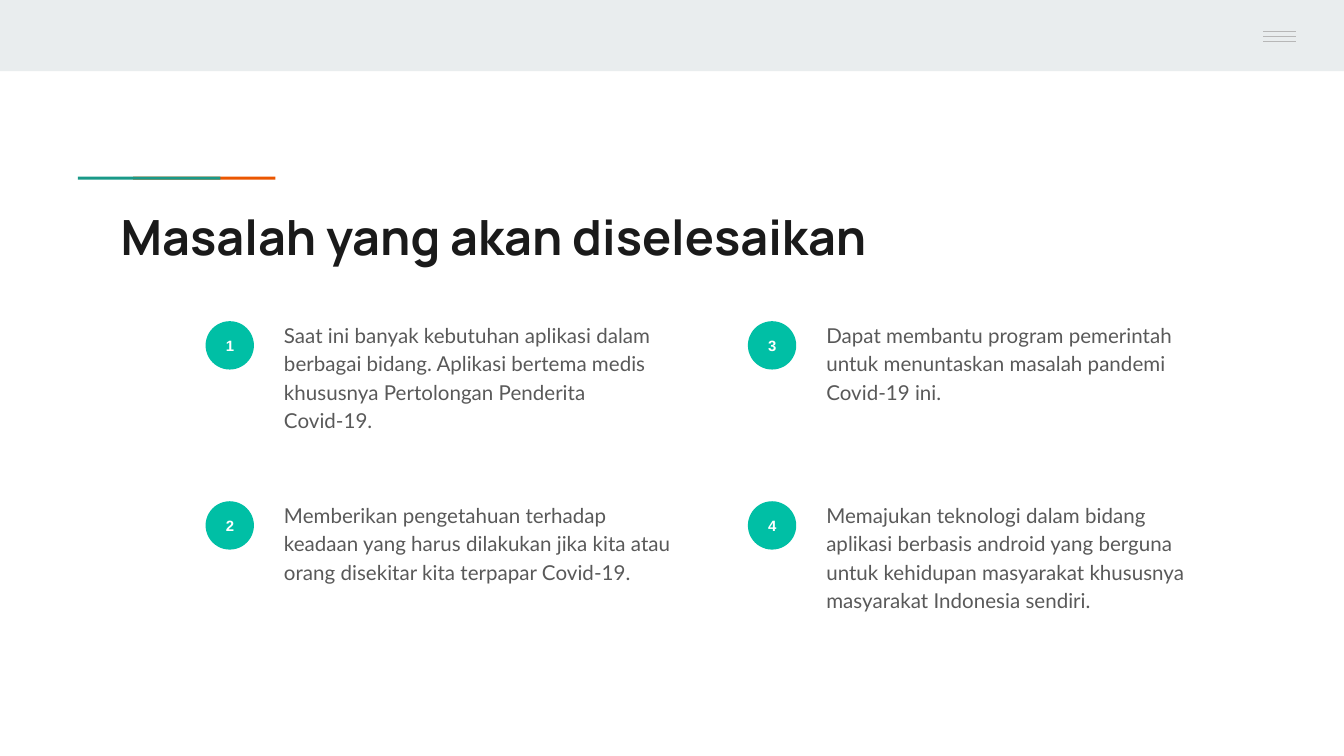
from dataclasses import dataclass

from pptx import Presentation
from pptx.dml.color import RGBColor
from pptx.enum.shapes import MSO_CONNECTOR as Connector, MSO_SHAPE as Preset
from pptx.enum.text import MSO_ANCHOR as Anchor, PP_ALIGN as Align
from pptx.oxml.ns import qn
from pptx.shapes.autoshape import Shape
from pptx.slide import Slide
from pptx.util import Emu, Inches, Pt
from lxml.etree import SubElement

COLUMNS, ROWS = 100, 56.25
CELL = Inches(0.1)
ITEMS_PER_COLUMN = 2
COLUMN_PITCH, ROW_PITCH = 40.35, 13.4
FIRST_BADGE = (15.3, 23.9)
BADGE_SIZE = 3.6
TEXT_OFFSET = (4.85, -1.15)


@dataclass(frozen=True)
class Area:
    column: float
    row: float
    width: float
    height: float

    def lengths(self) -> list[Emu]:
        return [grid(value) for value in (self.column, self.row, self.width, self.height)]


@dataclass(frozen=True)
class TextStyle:
    font: str
    size: float
    color: str
    bold: bool = False
    align: Align = Align.LEFT
    anchor: Anchor = Anchor.TOP
    line_spacing: float = 1.0


@dataclass(frozen=True)
class Block:
    area: Area
    color: str


TITLE = TextStyle("Manrope", 26, "1A1A1A", bold=True)
BODY = TextStyle("Lato", 11, "595959", line_spacing=1.15)
BADGE = TextStyle("Arial", 8, "FFFFFF", bold=True, align=Align.CENTER, anchor=Anchor.MIDDLE)

BLOCKS = [
    Block(Area(0, 0, COLUMNS, 5.3), "E9EDEE"),
    Block(Area(9.9, 13.15, 10.6, 0.23), "EB5600"),
    Block(Area(5.8, 13.15, 10.6, 0.23), "1A9988"),
]

PROBLEMS = [
    "Saat ini banyak kebutuhan aplikasi dalam berbagai bidang. Aplikasi bertema medis "
    "khususnya Pertolongan Penderita Covid-19.",
    "Memberikan pengetahuan terhadap keadaan yang harus dilakukan jika kita atau orang "
    "disekitar kita terpapar Covid-19.",
    "Dapat membantu program pemerintah untuk menuntaskan masalah pandemi Covid-19 ini.",
    "Memajukan teknologi dalam bidang aplikasi berbasis android yang berguna untuk "
    "kehidupan masyarakat khususnya masyarakat Indonesia sendiri.",
]


def grid(cells: float) -> Emu:
    return Emu(round(cells * CELL))


def rgb(color: str) -> RGBColor:
    return RGBColor.from_string(color)


def write(shape: Shape, text: str, style: TextStyle) -> None:
    frame = shape.text_frame
    frame.text = text
    frame.word_wrap = True
    frame.vertical_anchor = style.anchor
    frame.margin_left = frame.margin_right = frame.margin_top = frame.margin_bottom = CELL
    paragraph = frame.paragraphs[0]
    paragraph.alignment = style.align
    paragraph.line_spacing = style.line_spacing
    for run in paragraph.runs:
        run.font.name = style.font
        run.font.size = Pt(style.size)
        run.font.bold = style.bold
        run.font.color.rgb = rgb(style.color)


def add_text(slide: Slide, area: Area, text: str, style: TextStyle) -> None:
    write(slide.shapes.add_textbox(*area.lengths()), text, style)


def add_filled(slide: Slide, preset: Preset, area: Area, color: str) -> Shape:
    shape = slide.shapes.add_shape(preset, *area.lengths())
    shape.shadow.inherit = False
    shape.fill.solid()
    shape.fill.fore_color.rgb = rgb(color)
    shape.line.fill.background()
    return shape


def add_menu_icon(slide: Slide) -> None:
    for index in range(3):
        row = grid(2.35 + index * 0.37)
        line = slide.shapes.add_connector(Connector.STRAIGHT, grid(94), row, grid(96.4), row)
        line.line.color.rgb = rgb("B7B7B7")
        line.line.width = Pt(0.75)
        SubElement(line._element.spPr, qn("a:effectLst"))


def add_problem(slide: Slide, index: int, text: str) -> None:
    column_index, row_index = divmod(index, ITEMS_PER_COLUMN)
    column = FIRST_BADGE[0] + column_index * COLUMN_PITCH
    row = FIRST_BADGE[1] + row_index * ROW_PITCH
    badge = add_filled(slide, Preset.OVAL, Area(column, row, BADGE_SIZE, BADGE_SIZE), "00BFA5")
    write(badge, str(index + 1), BADGE)
    text_area = Area(column + TEXT_OFFSET[0], row + TEXT_OFFSET[1], 31, 11.5)
    add_text(slide, text_area, text, BODY)


def main() -> None:
    presentation = Presentation()
    presentation.slide_width, presentation.slide_height = grid(COLUMNS), grid(ROWS)
    slide = presentation.slides.add_slide(presentation.slide_layouts[6])
    for block in BLOCKS:
        add_filled(slide, Preset.RECTANGLE, block.area, block.color)
    add_menu_icon(slide)
    add_text(slide, Area(8, 14.4, 84.1, 5.9), "Masalah yang akan diselesaikan", TITLE)
    for index, text in enumerate(PROBLEMS):
        add_problem(slide, index, text)
    presentation.save("out.pptx")


if __name__ == "__main__":
    main()
